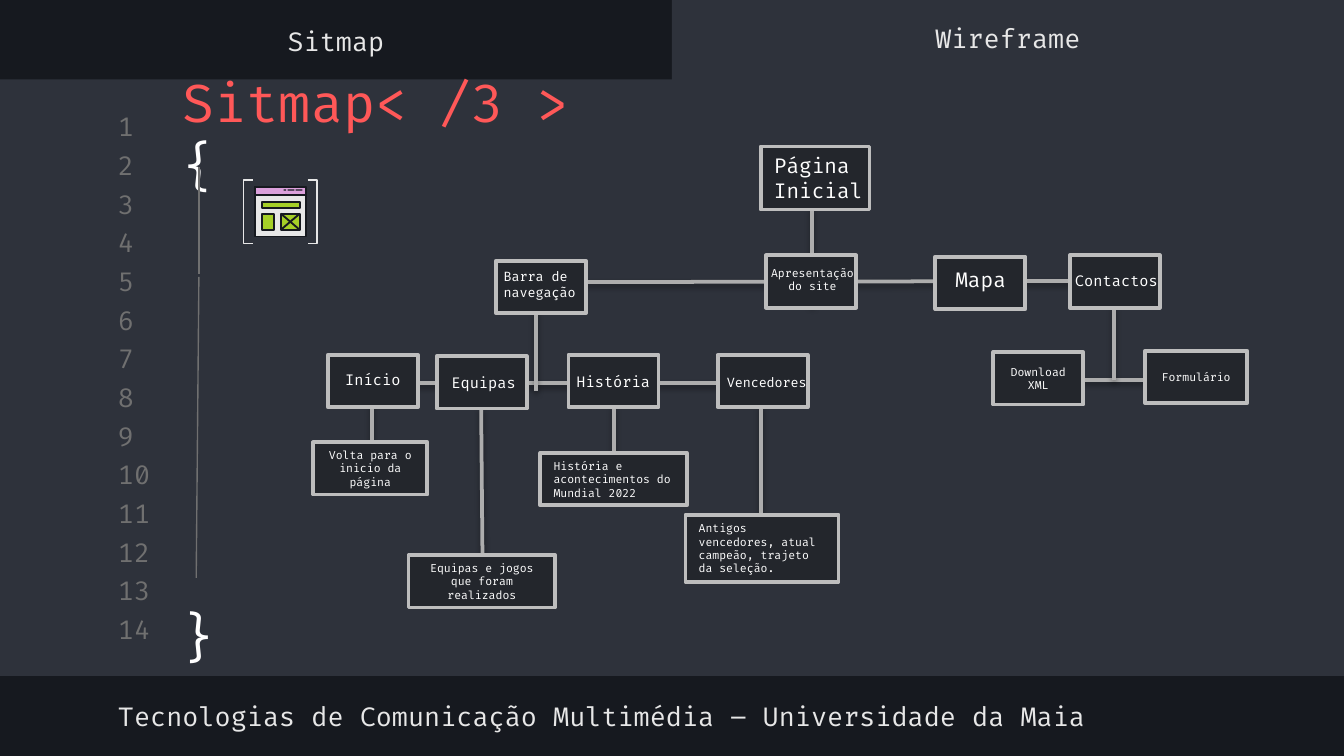
"""Build the sitemap slide of a code-editor themed deck."""
import dataclasses

import lxml.etree
import pptx
import pptx.dml.color
import pptx.enum.shapes
import pptx.enum.text
import pptx.oxml.ns
import pptx.util

Inches = pptx.util.Inches
Pt = pptx.util.Pt
Shape = pptx.enum.shapes.MSO_SHAPE
Align = pptx.enum.text.PP_ALIGN
Anchor = pptx.enum.text.MSO_ANCHOR
qn = pptx.oxml.ns.qn
rgb = pptx.dml.color.RGBColor.from_string


@dataclasses.dataclass(frozen=True)
class Theme:
    font: str = "Fira Code"
    dark: str = "16191F"
    panel: str = "2E323B"
    node: str = "23262C"
    border: str = "BDBDBD"
    link: str = "ADADAD"
    muted: str = "707070"
    light: str = "E7E7E7"
    white: str = "FFFFFF"
    accent: str = "FF5858"
    pink: str = "DBA0DB"
    green: str = "A5CF27"
    title: int = 28
    body: int = 14
    large: int = 11
    medium: int = 8
    small: int = 7
    tiny: int = 6


theme = Theme()
deck = pptx.Presentation()
deck.slide_width, deck.slide_height = Inches(10), Inches(10) * 9 // 16
page = deck.slides.add_slide(deck.slide_layouts[6])
page.background.fill.solid()
page.background.fill.fore_color.rgb = rgb(theme.dark)


def add_box(place, fill=None, line=None, weight=1, kind=Shape.RECTANGLE):
    box = page.shapes.add_shape(kind, *map(Inches, place))
    box.shadow.inherit = False
    for part, color in ((box.fill, fill), (box.line.fill, line)):
        if color:
            part.solid()
            part.fore_color.rgb = rgb(color)
        else:
            part.background()
    if line:
        box.line.width = Pt(weight)
    return box


def write(box, text, size, color, align=Align.LEFT, anchor=Anchor.MIDDLE, inset=0.05):
    frame = box.text_frame
    frame.word_wrap = True
    frame.vertical_anchor = anchor
    frame.margin_left = frame.margin_right = Inches(0.1)
    frame.margin_top = frame.margin_bottom = Inches(inset)
    para = frame.paragraphs[0]
    para.text = text
    para.alignment = align
    para.font.name = theme.font
    para.font.size = Pt(size)
    para.font.color.rgb = rgb(color)
    return para


add_box((0, 0.59, 10, 4.44), theme.panel)
add_box((5, 0, 5, 0.65), theme.panel)

for number in range(14):
    box = page.shapes.add_textbox(Inches(0.78), Inches(0.82 + 3.74 / 13 * number), Inches(0.47), Inches(0.24))
    write(box, str(number + 1), theme.body, theme.muted, inset=0.1)

headings = [
    ((0, 0.11, 5, 0.39), "Sitmap", Align.CENTER),
    ((5, 0.09, 5, 0.39), "Wireframe", Align.CENTER),
    ((0.78, 5.13, 7.77, 0.39), "Tecnologias de Comunicação Multimédia – Universidade da Maia", Align.LEFT),
]
for place, text, align in headings:
    box = page.shapes.add_textbox(*map(Inches, place))
    write(box, text, theme.body, theme.light, align, inset=0.1)

title = page.shapes.add_textbox(Inches(1.26), Inches(0.7), Inches(3.45), Inches(0.58))
para = write(title, "Sitmap< /3 > ", theme.title, theme.accent, inset=0.1)
span = para.add_run()
span.text = "{"
span.font.color.rgb = rgb(theme.white)
brace = page.shapes.add_textbox(Inches(-1.08), Inches(4.45), Inches(5.11), Inches(0.57))
write(brace, "}", theme.title, theme.white, Align.CENTER, Anchor.TOP)

for left, kind in ((1.81, Shape.LEFT_BRACKET), (2.29, Shape.RIGHT_BRACKET)):
    bracket = add_box((left, 1.34, 0.07, 0.47), None, theme.light, 0.75, kind)
    bracket.adjustments[0] = 0

icon_parts = [
    ((1.9, 1.39, 0.38, 0.37), theme.light),
    ((1.9, 1.39, 0.38, 0.06), theme.pink),
    ((1.95, 1.5, 0.28, 0.05), theme.green),
    ((2.09, 1.59, 0.14, 0.12), theme.green),
    ((1.95, 1.59, 0.09, 0.12), theme.green),
]
for place, fill in icon_parts:
    add_box(place, fill, theme.dark, 1)
for left, width in ((2.11, 0.02), (2.14, 0.05), (2.2, 0.05)):
    add_box((left, 1.41, width, 0.01), theme.dark)

guide = (theme.muted, 0.75, False)
cross = (theme.dark, 1, False)
link = (theme.link, 2, True)
lines = [
    (1.48, 2.06, 1.46, 4.3, guide),
    (1.48, 1.24, 1.48, 2.04, guide),
    (2.09, 1.59, 2.23, 1.71, cross),
    (2.09, 1.71, 2.23, 1.59, cross),
    (2.77, 3.63, 2.77, 2.81, link),
    (8.63, 2.83, 7.84, 2.83, link),
    (2.71, 2.85, 5.51, 2.85, link),
    (6.04, 1.55, 6.04, 2.28, link),
    (3.99, 2.1, 8.49, 2.09, link),
    (3.99, 2.91, 3.99, 2.09, link),
    (8.29, 2.83, 8.29, 2.28, link),
    (3.59, 4.13, 3.58, 3.04, link),
    (5.66, 3.83, 5.66, 3.02, link),
    (4.57, 3.37, 4.57, 3.02, link),
]
for *ends, (color, weight, shadowed) in lines:
    line = page.shapes.add_connector(pptx.enum.shapes.MSO_CONNECTOR.STRAIGHT, *map(Inches, ends))
    line.line.color.rgb = rgb(color)
    line.line.width = Pt(weight)
    effects = lxml.etree.SubElement(line._element.spPr, qn("a:effectLst"))
    if shadowed:
        shadow = lxml.etree.SubElement(
            effects, qn("a:outerShdw"), blurRad=str(Pt(3.1)), dist=str(Pt(1.6)), dir="5400000", rotWithShape="0")
        tone = lxml.etree.SubElement(shadow, qn("a:srgbClr"), val="000000")
        lxml.etree.SubElement(tone, qn("a:alpha"), val="38000")

pages = [
    ((5.66, 1.09, 0.81, 0.47), (5.66, 1.09, 1.02, 0.47), "Página Inicial", theme.large),
    ((2.44, 2.64, 0.67, 0.39), (2.47, 2.71, 0.85, 0.24), "Início", theme.medium),
    ((3.25, 2.65, 0.67, 0.39), (3.26, 2.73, 0.85, 0.24), "Equipas", theme.medium),
    ((4.23, 2.64, 0.67, 0.39), (4.19, 2.72, 0.85, 0.24), "História", theme.medium),
    ((5.34, 2.64, 0.67, 0.39), (5.31, 2.74, 0.8, 0.22), "Vencedores", theme.small),
    ((3.69, 1.94, 0.67, 0.39), (3.65, 1.95, 0.8, 0.34), "Barra de navegação", theme.small),
    ((5.7, 1.9, 0.67, 0.39), (5.62, 1.93, 0.85, 0.3), "Apresentação do site", theme.tiny),
    ((6.96, 1.91, 0.67, 0.39), (7.01, 1.94, 0.8, 0.29), "Mapa", theme.large),
    ((7.96, 1.9, 0.67, 0.39), (7.9, 1.97, 0.85, 0.24), "Contactos", theme.medium),
]
for place, label_place, text, size in pages:
    add_box(place, theme.node, theme.border, 2)
    label = page.shapes.add_textbox(*map(Inches, label_place))
    align = Align.CENTER if size == theme.tiny else Align.LEFT
    write(label, text, size, theme.white, align, Anchor.TOP)

details = [
    ((7.39, 2.62, 0.67, 0.39), "Download XML", Align.CENTER),
    ((8.52, 2.61, 0.76, 0.39), "Formulário", Align.CENTER),
    ((2.33, 3.29, 0.85, 0.39), "Volta para o inicio da página", Align.CENTER),
    ((3.04, 4.13, 1.09, 0.39), "Equipas e jogos que foram realizados", Align.CENTER),
    ((4.02, 3.37, 1.09, 0.39), "História e acontecimentos do Mundial 2022", Align.LEFT),
    ((5.1, 3.83, 1.14, 0.5), "Antigos vencedores, atual campeão, trajeto da seleção.", Align.LEFT),
]
for place, text, align in details:
    write(add_box(place, theme.node, theme.border, 2), text, theme.tiny, theme.white, align)

deck.save("out.pptx")
